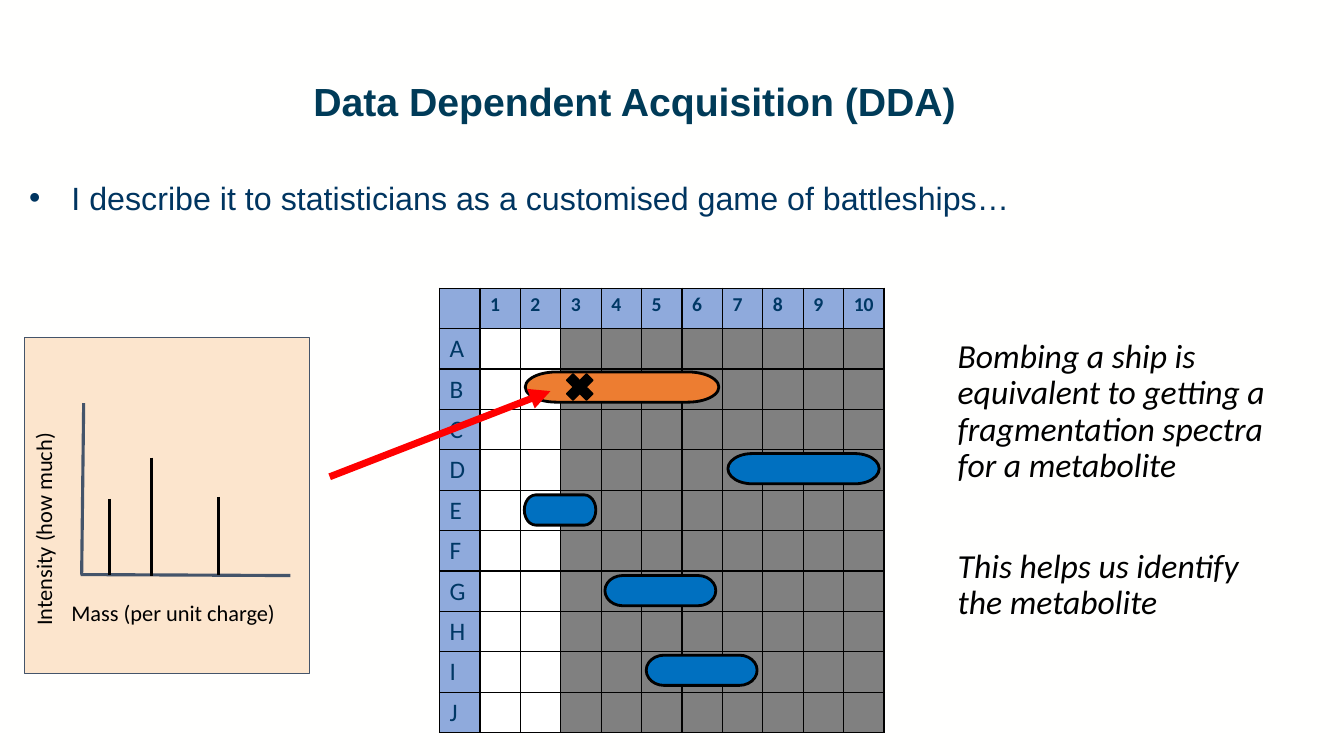
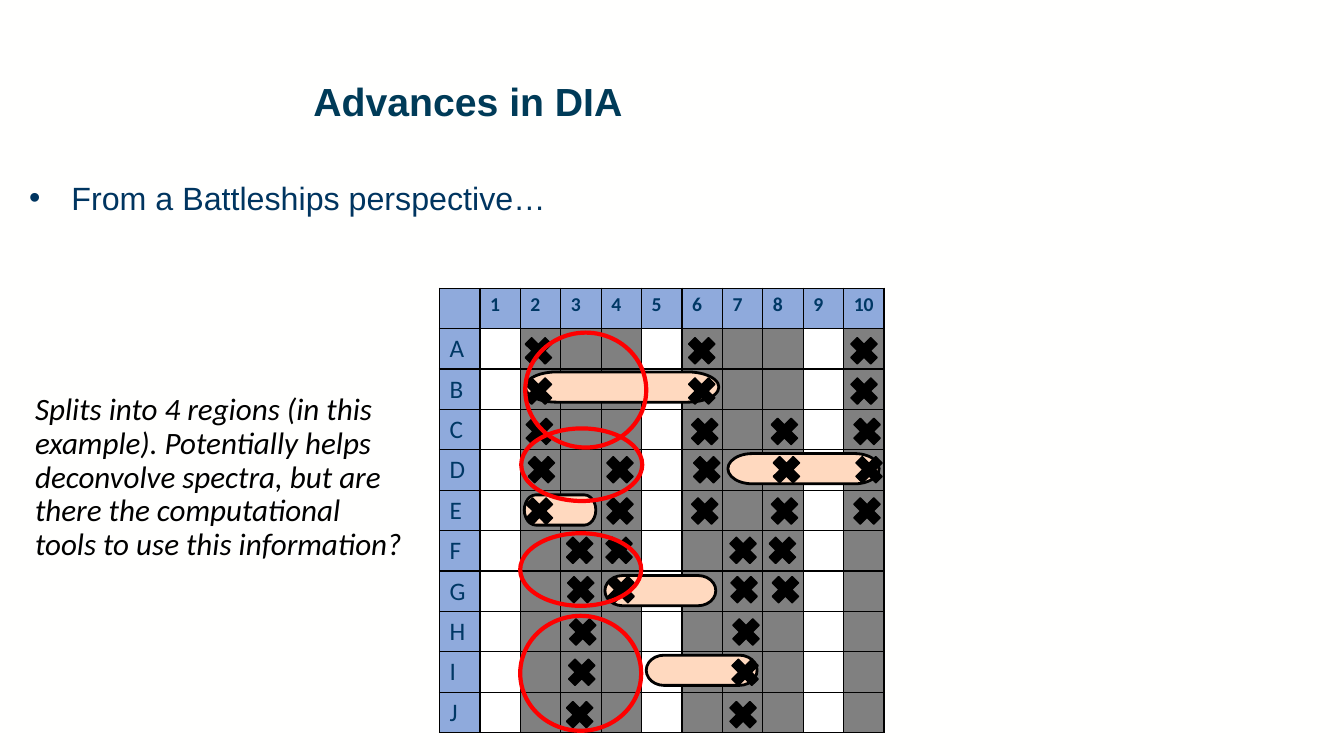
import pptx
import pptx.util
import pptx.dml.color
import pptx.oxml.ns
from pptx.enum.shapes import MSO_CONNECTOR, MSO_SHAPE
from lxml import etree

# Shared style
EMU_PER_PX = 9144  # 100 px to the inch
PAPER, WHITE, GREY, HEADER = "FFFFFE", "FFFFFF", "808080", "8FAADC"
BLACK, RED, SLATE, PEACH = "000000", "FF0000", "44546A", "FCE5CD"
BLUE, ORANGE, PALE = "0070C0", "ED7D31", "FFD9BF"
TITLE_COLOR, BODY_COLOR, LABEL_COLOR = "003B58", "003560", "003865"
TITLE_BOX = (301, 77, 1007, 97)
BODY_BOX = (19, 176, 1289, 72)

# Game board
BOARD_BOX = (436, 286, 441, 441)
ROWS = "ABCDEFGHIJ"
SHIPS = {
    "G": (600, 571, 110, 30),
    "I": (641, 650, 110, 30),
    "E": (520, 491, 71, 30),
    "D": (722, 450, 150, 30),
    "B": (521, 369, 192, 30),
}
MARK_SIZE = 38

# Slide 1: Data Dependent Acquisition
DDA = {
    "title": "Data Dependent Acquisition (DDA)",
    "body": "I describe it to statisticians as a customised game of battleships…",
    "white_columns": (1, 2),
    "ships": {row: ORANGE if row == "B" else BLUE for row in SHIPS},
    "marks": [(365, [556])],
}
DDA_NOTE = [
    "Bombing a ship is equivalent to getting a fragmentation spectra for a metabolite",
    "This helps us identify the metabolite",
]
ARROW = (327, 473, 546, 388)
SPECTRUM_BOX = (24, 335, 283, 333)
SPECTRUM_LINES = [  # x1, y1, x2, y2, colour
    (83, 400, 81, 570, SLATE),
    (80, 570, 288, 571, SLATE),
    (109, 495, 109, 570, BLACK),
    (150, 454, 150, 571, BLACK),
    (217, 493, 217, 570, BLACK),
]
AXIS_LABELS = [  # text, box, rotation
    ("Mass (per unit charge)", (61, 584, 246, 60), 0),
    ("Intensity (how much)", (-92, 470, 272, 49), 270),
]

# Slide 2: Advances in DIA
DIA = {
    "title": "Advances in DIA",
    "body": "From a Battleships perspective…",
    "white_columns": (1, 5, 9),
    "ships": dict.fromkeys(SHIPS, PALE),
    "marks": [  # top, lefts; one entry per board row
        (329, [515, 677, 838]),
        (369, [515, 677, 838]),
        (409, [516, 680, 759, 841]),
        (447, [518, 596, 682, 761, 843]),
        (488, [516, 596, 680, 759, 841]),
        (527, [556, 595, 718, 757]),
        (566, [557, 597, 719, 760]),
        (608, [559, 721]),
        (648, [558, 720]),
        (690, [556, 718]),
    ],
}
DIA_NOTE = ["Splits into 4 regions (in this example). Potentially helps deconvolve "
            "spectra, but are there the computational tools to use this information?"]
REGIONS = [(521, 330, 120, 114), (516, 611, 120, 114),
           (517, 425, 120, 72), (516, 529, 120, 72)]


def px(*lengths):
    return [pptx.util.Emu(n * EMU_PER_PX) for n in lengths]


def rgb(color):
    return pptx.dml.color.RGBColor.from_string(color)


def add_xml(parent, tag, **attributes):
    return etree.SubElement(parent, pptx.oxml.ns.qn(tag), attributes)


def style_run(r, size, color, font="Calibri", bold=False, italic=False):
    r.font.name, r.font.size = font, pptx.util.Pt(size)
    r.font.bold, r.font.italic = bold, italic
    r.font.color.rgb = rgb(color)


def add_text(shapes, box, lines, size, color, inset=(10, 5), spacing=0.9,
             gap=0, bullet=False, **style):
    sp = shapes.add_textbox(*px(*box))
    tf = sp.text_frame
    tf.word_wrap = True
    tf.margin_left = tf.margin_right = px(inset[0])[0]
    tf.margin_top = tf.margin_bottom = px(inset[1])[0]
    tf.text = "\n".join(lines)
    for i, p in enumerate(tf.paragraphs):
        if bullet:
            pPr = p._p.get_or_add_pPr()
            indent = px(42)[0]
            pPr.set("marL", str(indent))
            pPr.set("indent", str(-indent))
            add_xml(pPr, "a:buFont", typeface="Arial")
            add_xml(pPr, "a:buChar", char="•")
        p.line_spacing = spacing
        p.space_before = pptx.util.Pt(gap if i else 0)
        for r in p.runs:
            style_run(r, size, color, **style)
    return sp


def add_shape(shapes, kind, box, fill, line, width):
    sp = shapes.add_shape(kind, *px(*box))
    sp.shadow.inherit = False
    if fill:
        sp.fill.solid()
        sp.fill.fore_color.rgb = rgb(fill)
    else:
        sp.fill.background()
    sp.line.color.rgb = rgb(line)
    sp.line.width = pptx.util.Pt(width)
    return sp


def add_line(shapes, ends, color, width, arrow=False):
    line = shapes.add_connector(MSO_CONNECTOR.STRAIGHT, *px(*ends))
    line.line.color.rgb = rgb(color)
    line.line.width = pptx.util.Pt(width)
    if arrow:
        add_xml(line.line._get_or_add_ln(), "a:tailEnd", type="triangle")
    add_xml(line._element.spPr, "a:effectLst")


def style_cell(cell, fill):
    tcPr = cell._tc.get_or_add_tcPr()
    for side in ("a:lnL", "a:lnR", "a:lnT", "a:lnB"):
        ln = add_xml(tcPr, side, w=str(pptx.util.Pt(1)))
        add_xml(add_xml(ln, "a:solidFill"), "a:srgbClr", val=BLACK)
    cell.fill.solid()
    cell.fill.fore_color.rgb = rgb(fill)


def add_board(s, white_columns):
    count = len(ROWS) + 1
    table = s.shapes.add_table(count, count, *px(*BOARD_BOX)).table
    table.first_row = table.horz_banding = False
    for i in range(count):
        table.columns[i].width = px(BOARD_BOX[2])[0] // count
        table.rows[i].height = px(BOARD_BOX[3])[0] // count
        for j in range(count):
            cell = table.cell(i, j)
            if i == 0 or j == 0:
                style_cell(cell, HEADER)
            else:
                style_cell(cell, WHITE if j in white_columns else GREY)
    for i, row in enumerate(ROWS, 1):
        for cell, label, size in ((table.cell(0, i), str(i), 14),
                                  (table.cell(i, 0), row, 18)):
            p = cell.text_frame.paragraphs[0]
            p.text = label
            style_run(p.runs[0], size, LABEL_COLOR, bold=size == 14)


def add_game_slide(prs, content):
    """Title, bullet, board, ships and hit marks."""
    s = prs.slides.add_slide(prs.slide_layouts[6])
    s.background.fill.solid()
    s.background.fill.fore_color.rgb = rgb(PAPER)
    add_text(s.shapes, TITLE_BOX, [content["title"]], 28, TITLE_COLOR,
             font="Arial", bold=True)
    add_text(s.shapes, BODY_BOX, [content["body"]], 23, BODY_COLOR,
             font="Arial", bullet=True)
    add_board(s, content["white_columns"])
    for row, color in content["ships"].items():
        add_shape(s.shapes, MSO_SHAPE.FLOWCHART_TERMINATOR, SHIPS[row], color, BLACK, 2)
    for top, lefts in content["marks"]:
        for left in lefts:
            add_shape(s.shapes, MSO_SHAPE.MATH_MULTIPLY,
                      (left, top, MARK_SIZE, MARK_SIZE), BLACK, BLACK, 1)
    return s


def add_spectrum(s):
    shapes = s.shapes.add_group_shape().shapes
    add_shape(shapes, MSO_SHAPE.RECTANGLE, SPECTRUM_BOX, PEACH, SLATE, 0.75)
    for *ends, color in SPECTRUM_LINES:
        add_line(shapes, ends, color, 2.25)
    for label, box, rotation in AXIS_LABELS:
        sp = add_text(shapes, box, [label], 16, BLACK, inset=(10, 10), spacing=1.0)
        sp.rotation = rotation


def main():
    prs = pptx.Presentation()
    prs.slide_width, prs.slide_height = px(1333, 750)

    # Slide 1
    s = add_game_slide(prs, DDA)
    add_line(s.shapes, ARROW, RED, 5, arrow=True)
    add_spectrum(s)
    add_text(s.shapes, (940, 332, 332, 336), DDA_NOTE, 24, BLACK, gap=46, italic=True)

    # Slide 2
    s = add_game_slide(prs, DIA)
    note = add_text(s.shapes, (25, 386, 390, 200), DIA_NOTE, 22.2, BLACK, italic=True)
    note.fill.solid()
    note.fill.fore_color.rgb = rgb(PAPER)
    for box in REGIONS:
        add_shape(s.shapes, MSO_SHAPE.OVAL, box, None, RED, 3)

    prs.save("out.pptx")


if __name__ == "__main__":
    main()
